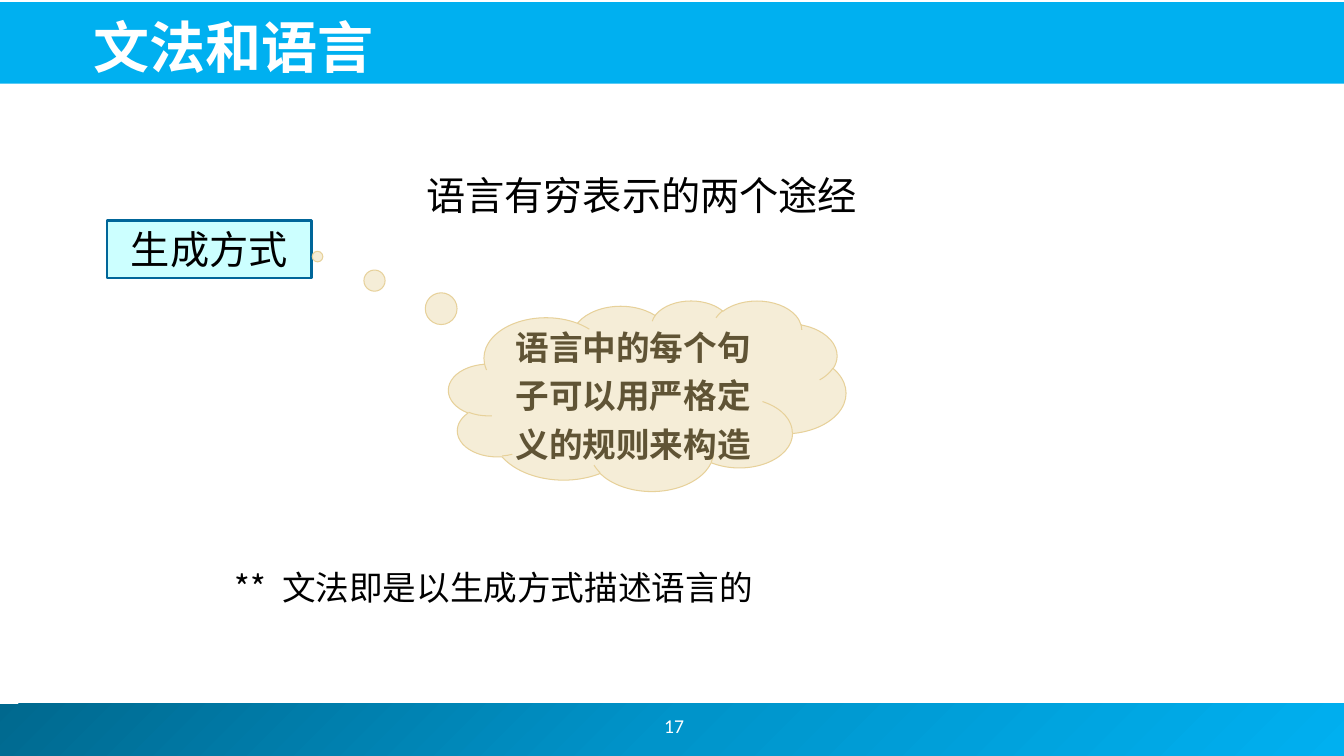
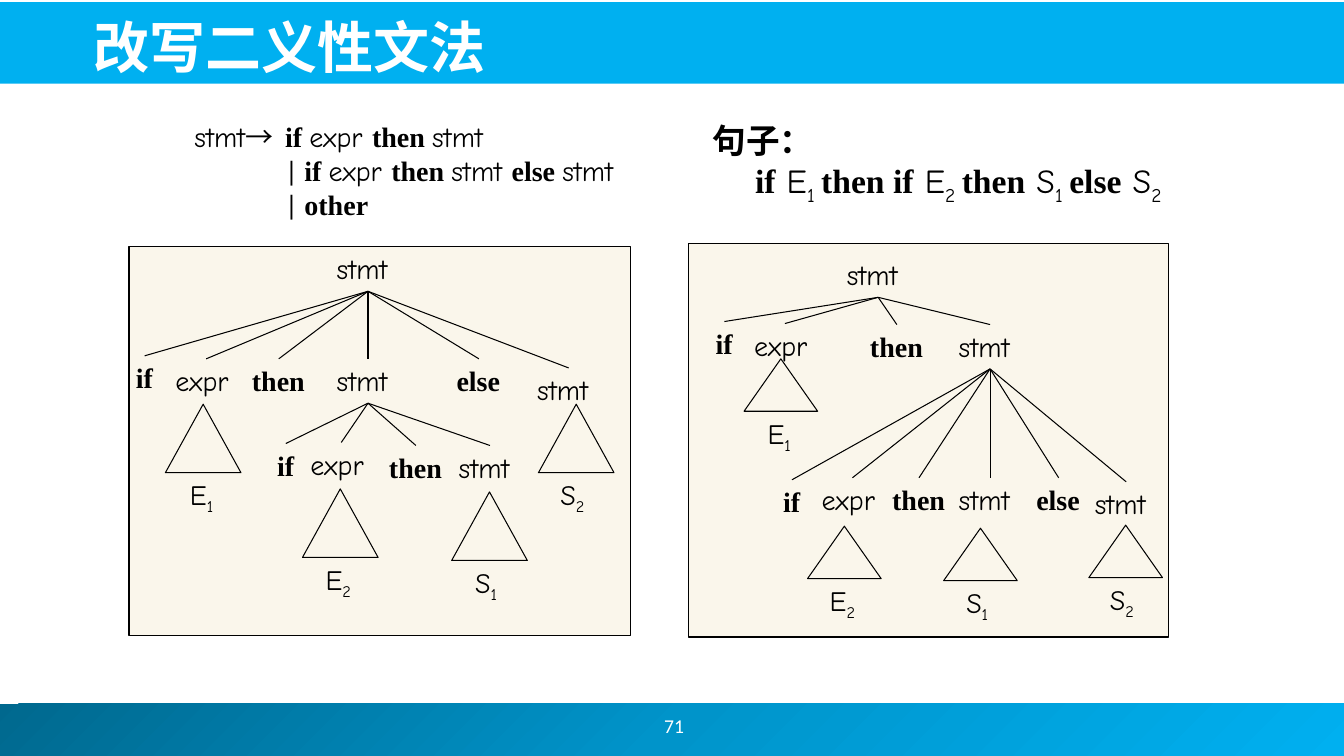
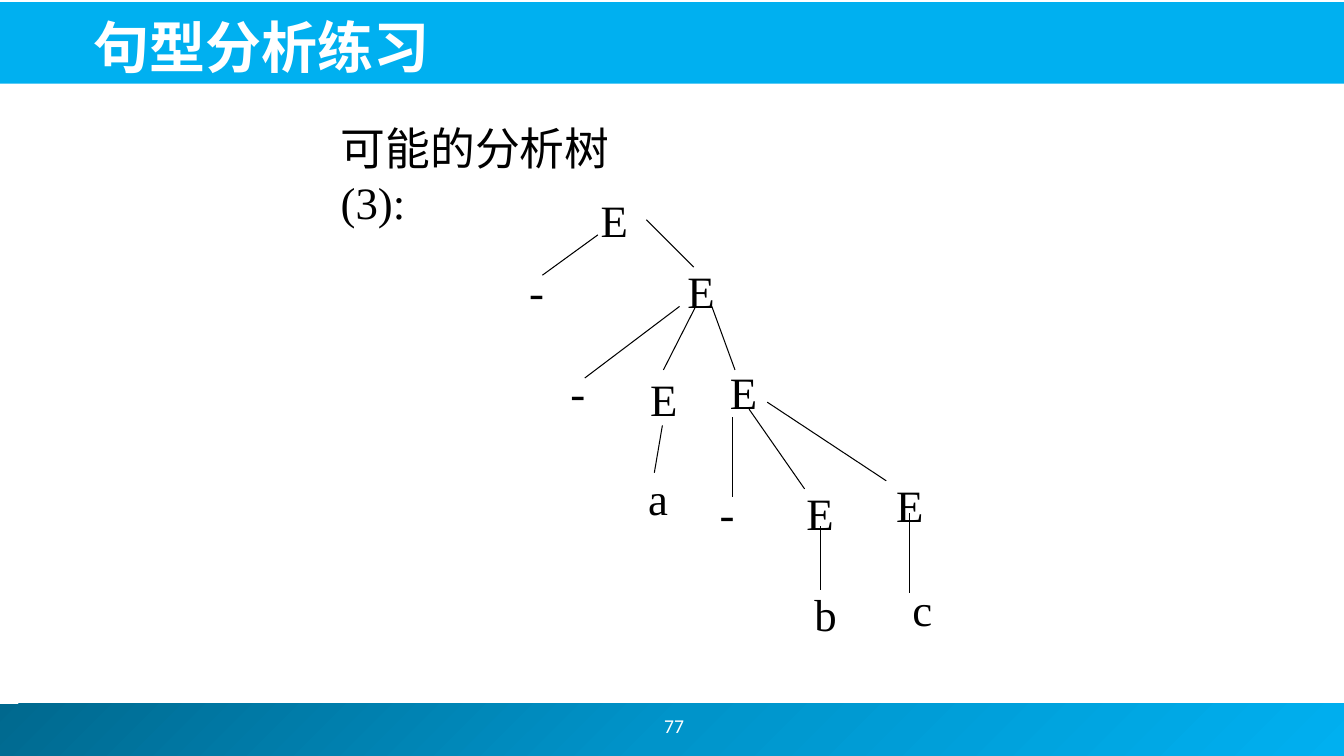
from copy import deepcopy
from dataclasses import dataclass, replace
from typing import NamedTuple

from lxml import etree
from pptx import Presentation
from pptx.dml.color import RGBColor
from pptx.enum.shapes import MSO_CONNECTOR, MSO_SHAPE
from pptx.enum.text import MSO_ANCHOR, PP_ALIGN
from pptx.oxml.ns import qn
from pptx.util import Inches, Pt

RECTANGLE = MSO_SHAPE.RECTANGLE
TRIANGLE = MSO_SHAPE.ISOSCELES_TRIANGLE
CLOUD = MSO_SHAPE.CLOUD_CALLOUT
STRAIGHT = MSO_CONNECTOR.STRAIGHT
LEFT, CENTER = PP_ALIGN.LEFT, PP_ALIGN.CENTER
TOP, MIDDLE, BOTTOM = MSO_ANCHOR.TOP, MSO_ANCHOR.MIDDLE, MSO_ANCHOR.BOTTOM

COLORS = {
    "white": "FFFFFF", "black": "000000",
    "band": "00B0F0", "band_mid": "0094CA", "band_dark": "00688E",
    "mode_fill": "CCFFFF", "mode_line": "006699",
    "cloud_fill": "F5EDD7", "cloud_line": "E7D19A", "cloud_text": "605435",
    "panel": "FAF6EB",
}
CJK_SC, CJK_JP = "Noto Sans CJK SC", "Noto Sans CJK JP"
COMIC, TIMES = "Comic Neue", "Times New Roman"
THIN = 0.75


@dataclass(frozen=True)
class Style:
    font: str
    size: float
    color: str = "black"
    bold: bool = False
    subscript: bool = False
    asian: str = CJK_SC


class Piece(NamedTuple):
    text: str
    style: Style


class Box(NamedTuple):
    left: float
    top: float
    width: float
    height: float


class Point(NamedTuple):
    x: float
    y: float


class Letter(NamedTuple):
    text: str
    left: float
    top: float
    width: float = 0.33


class Phrase(NamedTuple):
    """A triangle that stands for a subtree, with its name below."""
    name: str
    left: float
    top: float


@dataclass(frozen=True)
class Node:
    word: str
    left: float
    top: float
    children: tuple["Node", ...] = ()


@dataclass(frozen=True)
class ParseTree:
    panel: Box
    root: Node
    phrases: tuple[Phrase, ...]
    triangle_width: float
    triangle_height: float


TITLE = Style(CJK_JP, 40, "white", bold=True, asian=CJK_JP)
NUMBER = Style("Calibri", 14, "white")
TERM = Style(COMIC, 20)
KEYWORD = Style(TIMES, 20, bold=True)
SUBSCRIPT = replace(TERM, subscript=True)
LETTER = Style(TIMES, 32)

LABEL_HEIGHT = 0.44
LABEL_WIDTHS = {"stmt": 0.82, "expr": 0.81, "if": 0.37, "then": 0.73, "else": 0.64,
                "E1": 0.46, "E2": 0.49, "S1": 0.48, "S2": 0.51}
KEYWORDS = {"if", "then", "else"}


# Drawing helpers
def rgb(name: str) -> RGBColor:
    return RGBColor.from_string(COLORS[name])


def style_run(run, style: Style) -> None:
    font = run.font
    font.name, font.size, font.bold = style.font, Pt(style.size), style.bold
    font.color.rgb = rgb(style.color)
    properties = run._r.get_or_add_rPr()
    etree.SubElement(properties, qn("a:ea")).set("typeface", style.asian)
    if style.subscript:
        properties.set("baseline", "-25000")


def write(frame, lines: list[list[Piece]], align=LEFT, anchor=TOP, wrap: bool = True,
          spacing: float | None = None) -> None:
    frame.word_wrap, frame.vertical_anchor = wrap, anchor
    for index, pieces in enumerate(lines):
        paragraph = frame.add_paragraph() if index else frame.paragraphs[0]
        paragraph.alignment = align
        if spacing:
            paragraph.line_spacing = spacing
        for piece in pieces:
            run = paragraph.add_run()
            run.text = piece.text
            style_run(run, piece.style)


def indent(paragraph, margin: float, first: float = 0) -> None:
    properties = paragraph._p.get_or_add_pPr()
    properties.set("marL", str(Inches(margin)))
    properties.set("indent", str(Inches(first)))


def add_text(shapes, box: Box, lines: list[list[Piece]], **layout):
    frame = shapes.add_textbox(*map(Inches, box)).text_frame
    write(frame, lines, **layout)
    return frame


def add_figure(shapes, kind, box: Box, fill: str | None = None,
               line: str | None = None, weight: float = THIN):
    figure = shapes.add_shape(kind, *map(Inches, box))
    figure.shadow.inherit = False
    if fill:
        figure.fill.solid()
        figure.fill.fore_color.rgb = rgb(fill)
    else:
        figure.fill.background()
    if line:
        figure.line.color.rgb = rgb(line)
        figure.line.width = Pt(weight)
    else:
        figure.line.fill.background()
    return figure


def add_edge(shapes, start: Point, end: Point) -> None:
    edge = shapes.add_connector(STRAIGHT, *map(Inches, (*start, *end)))
    edge.line.color.rgb = rgb("black")
    edge.line.width = Pt(THIN)
    etree.SubElement(edge._element.spPr, qn("a:effectLst"))


# Shared frame of all slides
def add_page(deck, title: str, number: int):
    shapes = deck.slides.add_slide(deck.slide_layouts[6]).shapes
    footer = add_figure(shapes, RECTANGLE, Box(-0.05, 6.98, 13.39, 0.52))
    footer.fill.gradient()
    footer.fill.gradient_angle = 315
    stops = footer._element.spPr.find(".//" + qn("a:gsLst"))
    stops.append(deepcopy(stops[0]))
    shades = ((0, "band_dark"), (0.5, "band_mid"), (1, "band"))
    for stop, (position, shade) in zip(footer.fill.gradient_stops, shades):
        stop.position = position
        stop.color.rgb = rgb(shade)
    add_figure(shapes, RECTANGLE, Box(-0.02, 0.02, 13.36, 0.81), "band")
    add_text(shapes, Box(5.24, 6.95, 2.89, 0.5), [[Piece(str(number), NUMBER)]],
             align=CENTER, anchor=MIDDLE)
    add_text(shapes, Box(0.83, 0.05, 12.06, 0.79), [[Piece(title, TITLE)]], anchor=BOTTOM)
    return shapes


# Parse trees
def add_label(shapes, word: str, left: float, top: float) -> None:
    if word in KEYWORDS:
        pieces = [Piece(word, KEYWORD)]
    elif word[-1].isdigit():
        pieces = [Piece(word[:-1], TERM), Piece(word[-1], SUBSCRIPT)]
    else:
        pieces = [Piece(word, TERM)]
    add_text(shapes, Box(left, top, LABEL_WIDTHS[word], LABEL_HEIGHT), [pieces], wrap=False)


def top_center(node: Node) -> Point:
    return Point(node.left + LABEL_WIDTHS[node.word] / 2, node.top)


def add_node(shapes, node: Node) -> None:
    add_label(shapes, node.word, node.left, node.top)
    x, y = top_center(node)
    for child in node.children:
        add_edge(shapes, Point(x, y + LABEL_HEIGHT), top_center(child))
        add_node(shapes, child)


def add_tree(slide_shapes, tree: ParseTree) -> None:
    shapes = slide_shapes.add_group_shape().shapes
    add_figure(shapes, RECTANGLE, tree.panel, "panel", "black")
    add_node(shapes, tree.root)
    width, height = tree.triangle_width, tree.triangle_height
    for name, left, top in tree.phrases:
        add_figure(shapes, TRIANGLE, Box(left, top, width, height), line="black")
        add_label(shapes, name, left + (width - LABEL_WIDTHS[name]) / 2, top + height)


ELSE_OUTSIDE = ParseTree(
    Box(1.28, 2.45, 4.97, 3.86),
    Node("stmt", 3.24, 2.45, (
        Node("if", 1.25, 3.53), Node("expr", 1.64, 3.56), Node("then", 2.4, 3.56),
        Node("stmt", 3.24, 3.56, (
            Node("if", 2.65, 4.4), Node("expr", 2.98, 4.39),
            Node("then", 3.76, 4.42), Node("stmt", 4.45, 4.42))),
        Node("else", 4.43, 3.56), Node("stmt", 5.23, 3.65))),
    (Phrase("E1", 1.64, 4.01), Phrase("E2", 3, 4.85),
     Phrase("S1", 4.48, 4.88), Phrase("S2", 5.34, 4.01)),
    0.75, 0.68)

ELSE_INSIDE = ParseTree(
    Box(6.83, 2.42, 4.76, 3.9),
    Node("stmt", 8.3, 2.51, (
        Node("if", 7, 3.19), Node("expr", 7.38, 3.21), Node("then", 8.53, 3.22),
        Node("stmt", 9.41, 3.22, (
            Node("if", 7.67, 4.76), Node("expr", 8.05, 4.74), Node("then", 8.75, 4.74),
            Node("stmt", 9.41, 4.74), Node("else", 10.18, 4.74),
            Node("stmt", 10.76, 4.78))))),
    (Phrase("E1", 7.38, 3.56), Phrase("E2", 8.01, 5.22),
     Phrase("S1", 9.36, 5.24), Phrase("S2", 10.8, 5.21)),
    0.73, 0.52)

LETTERS = (
    Letter("E", 5.86, 1.86, 0.53), Letter("-", 5.15, 2.57), Letter("E", 6.72, 2.57),
    Letter("-", 5.56, 3.57), Letter("E", 6.35, 3.64), Letter("E", 7.14, 3.57),
    Letter("a", 6.33, 4.62), Letter("-", 7.04, 4.77), Letter("E", 7.9, 4.77),
    Letter("E", 8.79, 4.69), Letter("b", 7.98, 5.77), Letter("c", 8.95, 5.72),
)
BRANCHES = (
    (Point(5.93, 2.33), Point(5.38, 2.73)), (Point(6.41, 2.18), Point(6.88, 2.65)),
    (Point(6.74, 3.04), Point(5.8, 3.75)), (Point(6.9, 3.04), Point(6.58, 3.67)),
    (Point(7.06, 3.04), Point(7.29, 3.67)), (Point(6.57, 4.22), Point(6.49, 4.69)),
    (Point(7.27, 4.14), Point(7.27, 4.93)), (Point(7.43, 4.06), Point(7.98, 4.85)),
    (Point(7.61, 3.99), Point(8.79, 4.77)), (Point(8.14, 5.22), Point(8.14, 5.85)),
    (Point(9.02, 5.09), Point(9.02, 5.88)),
)


# Slides
def add_language_slide(deck) -> None:
    shapes = add_page(deck, "文法和语言", 17)
    add_text(shapes, Box(4.13, 1.56, 4.65, 0.71),
             [[Piece("语言有穷表示的两个途经", Style("Lato", 28))]], spacing=1.2)
    remark = add_text(shapes, Box(0.73, 5.58, 8.9, 0.66),
                      [[Piece("**\t文法即是以生成方式描述语言的", Style(CJK_SC, 24))]])
    indent(remark.paragraphs[0], 1.97, -0.47)
    mode = add_figure(shapes, RECTANGLE, Box(1.06, 2.19, 2.03, 0.57),
                      "mode_fill", "mode_line", 1.75)
    write(mode.text_frame, [[Piece("生成方式", Style(CJK_SC, 28))]], align=CENTER)
    cloud = add_figure(shapes, CLOUD, Box(4.45, 2.98, 3.94, 1.89), "cloud_fill", "cloud_line")
    cloud.adjustments[0], cloud.adjustments[1] = -0.83, -0.73
    thought = Style(CJK_JP, 24, "cloud_text", bold=True, asian=CJK_JP)
    write(cloud.text_frame, [[Piece("语言中的每个句子可以用严格定义的规则来构造", thought)]],
          align=CENTER, anchor=MIDDLE, spacing=1.2)


def add_ambiguity_slide(deck) -> None:
    shapes = add_page(deck, "改写二义性文法", 71)
    arrow, bar = Style(CJK_JP, 20, asian=CJK_JP), Piece("| ", Style("Calibri", 20))
    if_then = [Piece("if ", KEYWORD), Piece("expr ", TERM), Piece("then ", KEYWORD)]
    stmt = Piece("stmt", TERM)
    grammar = add_text(shapes, Box(1.83, 1.14, 4.57, 1.11), [
        [stmt, Piece("→\t", arrow), *if_then, stmt],
        [bar, *if_then, Piece("stmt ", TERM), Piece("else ", KEYWORD), stmt],
        [bar, Piece("other", KEYWORD)],
    ])
    for index, paragraph in enumerate(grammar.paragraphs):
        indent(paragraph, 0.9, 0 if index else -0.9)

    keyword, term, subscript = (replace(style, size=24)
                                for style in (KEYWORD, TERM, SUBSCRIPT))
    sentence = []
    for words, letter, digit in (("if", " E", "1 "), ("then if", " E", "2 "),
                                 ("then", " S", "1 "), ("else", " S", "2")):
        sentence += [Piece(words, keyword), Piece(letter, term), Piece(digit, subscript)]
    example = add_text(shapes, Box(6.97, 1.14, 4.93, 0.91),
                       [[Piece("句子：", keyword)], sentence])
    indent(example.paragraphs[1], 0.42)

    for tree in (ELSE_OUTSIDE, ELSE_INSIDE):
        add_tree(shapes, tree)


def add_exercise_slide(deck) -> None:
    shapes = add_page(deck, "句型分析练习", 77)
    add_text(shapes, Box(3.28, 1.15, 3.4, 0.64), [[Piece("可能的分析树(3):", LETTER)]])
    for letter in LETTERS:
        add_text(shapes, Box(letter.left, letter.top, letter.width, 0.64),
                 [[Piece(letter.text, LETTER)]])
    for start, end in BRANCHES:
        add_edge(shapes, start, end)


def main() -> None:
    deck = Presentation()
    deck.slide_width, deck.slide_height = Inches(13.33), Inches(7.5)
    add_language_slide(deck)
    add_ambiguity_slide(deck)
    add_exercise_slide(deck)
    deck.save("out.pptx")


if __name__ == "__main__":
    main()
